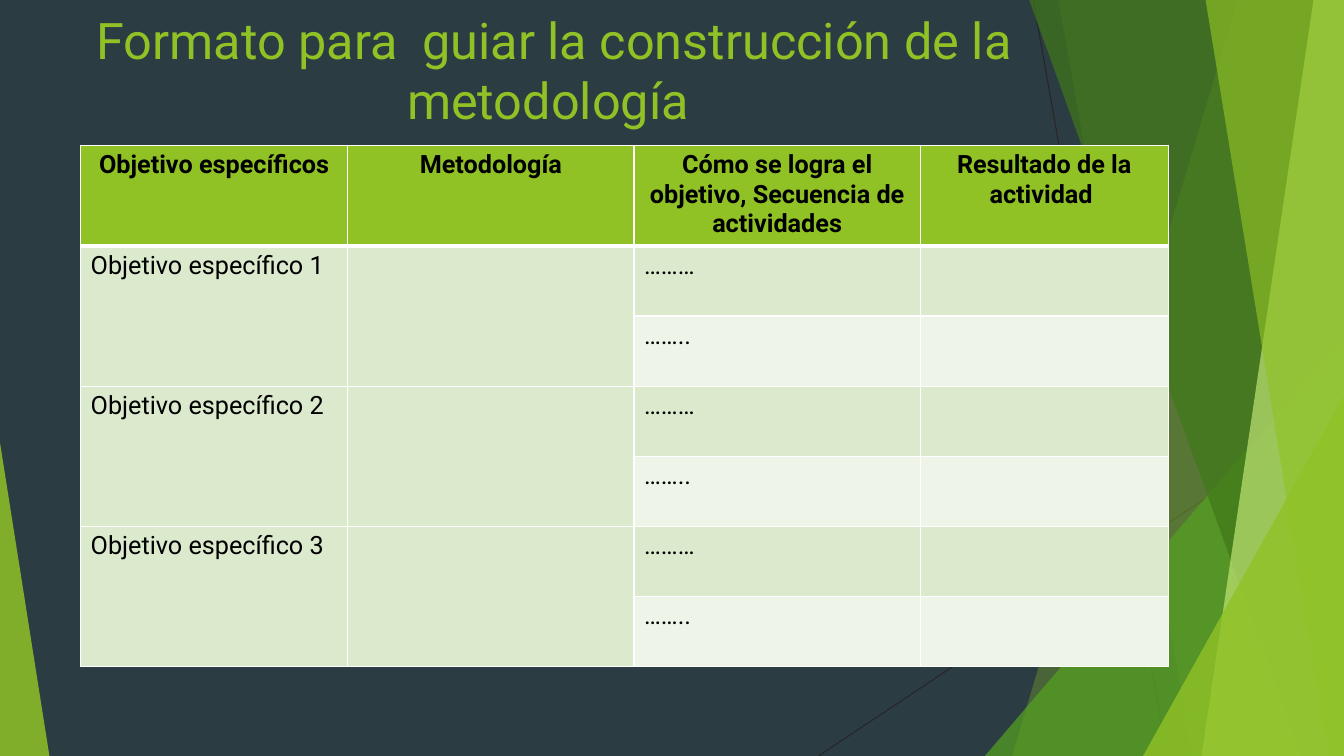
from lxml import etree
from pptx import Presentation
from pptx.dml.color import RGBColor
from pptx.enum.shapes import MSO_CONNECTOR, MSO_SHAPE
from pptx.enum.text import MSO_ANCHOR, PP_ALIGN
from pptx.oxml import parse_xml
from pptx.oxml.ns import qn
from pptx.util import Inches, Pt

LINE = MSO_CONNECTOR.STRAIGHT
WEDGE = MSO_SHAPE.ISOSCELES_TRIANGLE
TOP = MSO_ANCHOR.TOP
MID = PP_ALIGN.CENTER
LEFT = PP_ALIGN.LEFT
SLATE = RGBColor(0x2C, 0x3C, 0x43)
DARK = RGBColor(0x26, 0x26, 0x26)
BLACK = RGBColor(0, 0, 0)
LIME = RGBColor(0x90, 0xC2, 0x26)
GREEN = RGBColor(0x54, 0xA0, 0x21)
MOSS = RGBColor(0x3F, 0x78, 0x19)
PALE = RGBColor(0xC0, 0xE4, 0x74)
BAND = RGBColor(0xDB, 0xE9, 0xCD)
SOFT = RGBColor(0xEE, 0xF4, 0xE8)
FONT = "Roboto"
NS = "http://schemas.openxmlformats.org/drawingml/2006/main"

deck = Presentation()
deck.slide_width = Inches(13.33)
deck.slide_height = Inches(7.5)
slide = deck.slides.add_slide(deck.slide_layouts[6])
slide.background.fill.solid()
slide.background.fill.fore_color.rgb = SLATE
shapes = slide.shapes


def across(share):
    return round(deck.slide_width * share / 100)


def down(share):
    return round(deck.slide_height * share / 100)


for x1, y1, x2 in [(76.88, 0, 86.85), (100, 53.73, 60.9)]:
    line = shapes.add_connector(LINE, across(x1), down(y1), across(x2), down(100))
    line.line.color.rgb = DARK
    line.line.width = Pt(0.75)
    etree.SubElement(line.element.find(qn("p:spPr")), qn("a:effectLst"))

facets = [
    ("sheet", (92.1, 75.3), LIME, 30),
    ("sheet", (78.75, 88.73), LIME, 20),
    ("wedge", (73.28, 26.72, 44.4, 1), GREEN, 72),
    ("sheet", (76.58, 96.83), MOSS, 70),
    ("sheet", (97.73, 89.4), PALE, 70),
    ("sheet", (89.7, 98.85), LIME, 65),
    ("wedge", (85.05, 14.95, 52.4, 1), LIME, 80),
    ("wedge", (0, 3.68, 58.53, 0), LIME, 85),
]
for kind, place, color, alpha in facets:
    if kind == "sheet":
        head, foot = place
        pen = shapes.build_freeform(across(head), 0)
        edge = [(100, 0), (100, 100), (foot, 100)]
        pen.add_line_segments([(across(x), down(y)) for x, y in edge])
        facet = pen.convert_to_shape()
    else:
        x, width, y, tip = place
        facet = shapes.add_shape(WEDGE, across(x), down(y), across(width), down(100 - y))
        facet.adjustments[0] = tip
    facet.shadow.inherit = False
    facet.line.fill.background()
    facet.fill.solid()
    facet.fill.fore_color.rgb = color
    tint = facet.element.find(qn("p:spPr")).find(qn("a:solidFill"))[0]
    etree.SubElement(tint, qn("a:alpha")).set("val", str(alpha * 1000))

title = shapes.add_textbox(across(6), 0, across(70.5), down(19.2))
frame = title.text_frame
frame.word_wrap = True
frame.vertical_anchor = TOP
frame.margin_top = Inches(0.09)
frame.text = "Formato para  guiar la construcción de la metodología "
frame.paragraphs[0].alignment = MID
font = frame.paragraphs[0].runs[0].font
font.name = FONT
font.size = Pt(36)
font.color.rgb = LIME

rows = [[
    "Objetivo específicos",
    "Metodología",
    "Cómo se logra el objetivo, Secuencia de actividades",
    "Resultado de la actividad ",
]]
for n in range(1, 4):
    rows += [[f"Objetivo específico {n}", "", "………", ""], ["", "", "……..", ""]]
widths = [19.88, 21.3, 21.3, 18.45]
heights = [12.93] + [9.27] * 6

table = shapes.add_table(
    len(rows), len(widths), across(6), down(19.2), across(sum(widths)), down(sum(heights))
).table
for col, width in zip(table.columns, widths):
    col.width = across(width)
for row, height in zip(table.rows, heights):
    row.height = down(height)

for r, row in enumerate(rows):
    for c, text in enumerate(row):
        cell = table.cell(r, c)
        cell.text = text
        cell.fill.solid()
        if r == 0:
            cell.fill.fore_color.rgb = LIME
        else:
            cell.fill.fore_color.rgb = BAND if r % 2 or c < 2 else SOFT
        para = cell.text_frame.paragraphs[0]
        para.alignment = MID if r == 0 else LEFT
        para.font.size = Pt(18)
        for run in para.runs:
            run.font.name = FONT
            run.font.size = Pt(18)
            run.font.bold = r == 0
            run.font.color.rgb = BLACK
        props = cell._tc.get_or_add_tcPr()
        for i, side in enumerate("LRTB"):
            thick = (r, side) in [(0, "B"), (1, "T")]
            props.insert(i, parse_xml(
                f'<a:ln{side} xmlns:a="{NS}" w="{Pt(3 if thick else 1)}"><a:solidFill>'
                f'<a:srgbClr val="FFFFFF"/></a:solidFill></a:ln{side}>'
            ))

for r in range(1, len(rows), 2):
    for c in range(2):
        table.cell(r, c).merge(table.cell(r + 1, c))

deck.save("out.pptx")
